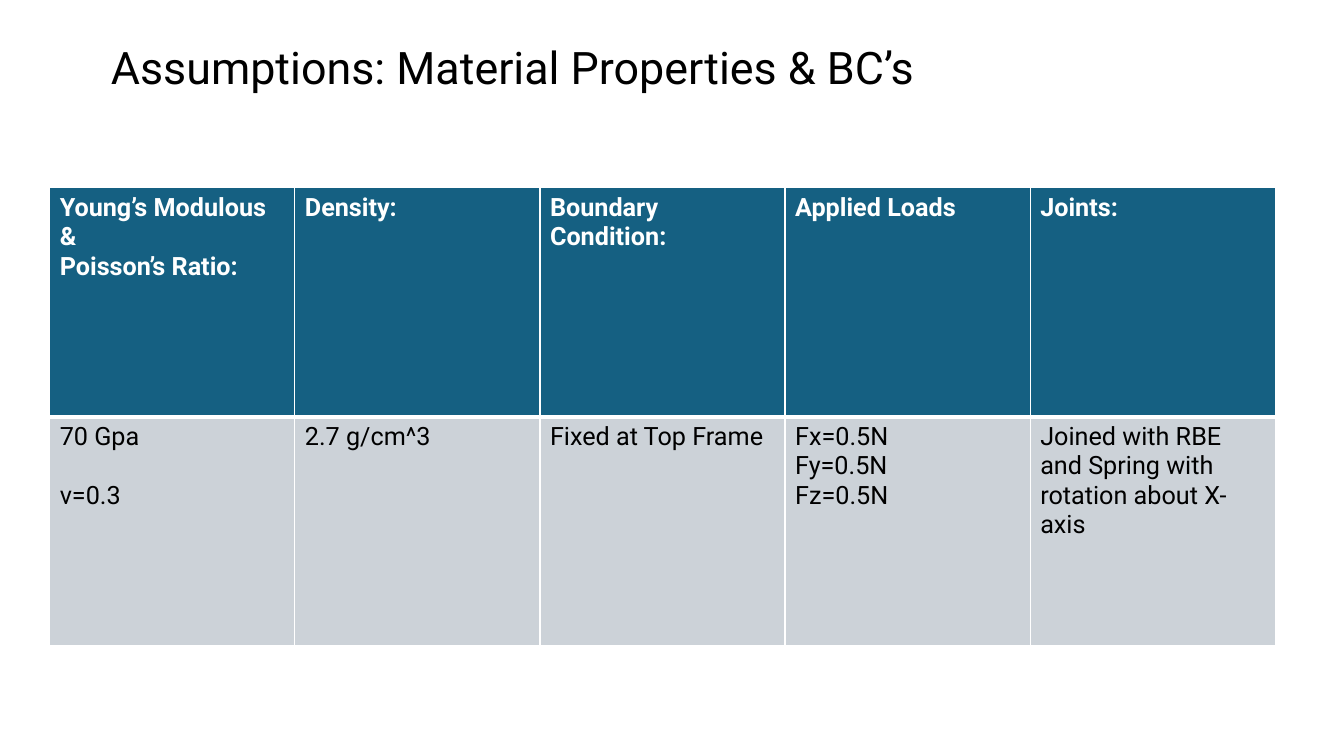
from lxml.etree import SubElement
from pptx import Presentation
from pptx.dml.color import RGBColor
from pptx.enum.text import MSO_ANCHOR as Anchor, MSO_AUTO_SIZE as AutoSize, PP_ALIGN as Align
from pptx.oxml.ns import qn
from pptx.util import Pt

COLORS = {"black": "000000", "white": "FFFFFF", "header": "156082", "body": "CCD2D8"}

# Each column: header lines, body lines
COLUMNS = [
    (["Young’s Modulous", "&", "Poisson’s Ratio:"], ["70 Gpa", "v=0.3"]),
    (["Density:"], ["2.7 g/cm^3"]),
    (["Boundary Condition:"], ["Fixed at Top Frame"]),
    (["Applied Loads"], ["Fx=0.5N", "Fy=0.5N", "Fz=0.5N"]),
    (["Joints:"], ["Joined with RBE and Spring with rotation about X-axis"]),
]


class SlideBuilder:
    font_name = "Roboto"
    title_size = 32
    table_size = 18

    def __init__(self, presentation):
        self.slide = presentation.slides.add_slide(presentation.slide_layouts[5])

    def add_run(self, paragraph, text, size, color, bold=False):
        run = paragraph.add_run()
        run.text = text
        run.font.name = self.font_name
        run.font.size = Pt(size)
        run.font.bold = bold
        run.font.color.rgb = RGBColor.from_string(COLORS[color])

    def add_title(self, text, left, top, width, height):
        title = self.slide.shapes.title
        title.left, title.top, title.width, title.height = map(Pt, (left, top, width, height))
        frame = title.text_frame
        frame.word_wrap = True
        frame.auto_size = AutoSize.NONE
        frame.vertical_anchor = Anchor.TOP
        paragraph = frame.paragraphs[0]
        paragraph.alignment = Align.LEFT
        paragraph.line_spacing = 0.9
        self.add_run(paragraph, text, self.title_size, "black")

    def add_borders(self, cell, widths):
        properties = cell._tc.get_or_add_tcPr()
        for position, (side, width) in enumerate(widths.items()):
            line = properties.makeelement(qn(f"a:ln{side}"), {"w": str(Pt(width))})
            fill = SubElement(line, qn("a:solidFill"))
            SubElement(fill, qn("a:srgbClr"), val=COLORS["white"])
            properties.insert(position, line)

    def fill_cell(self, cell, lines, is_header):
        cell.fill.solid()
        cell.fill.fore_color.rgb = RGBColor.from_string(COLORS["header" if is_header else "body"])
        cell.vertical_anchor = Anchor.TOP
        frame = cell.text_frame
        for index, text in enumerate(lines):
            paragraph = frame.add_paragraph() if index else frame.paragraphs[0]
            self.add_run(paragraph, text, self.table_size,
                         "white" if is_header else "black", is_header)
        # The thick line separates the header from the body
        self.add_borders(cell, {"L": 1, "R": 1, "T": 1 if is_header else 3,
                                "B": 3 if is_header else 1})

    def add_table(self, columns, left, top, column_width, row_height):
        count = len(columns)
        frame = self.slide.shapes.add_table(2, count, Pt(left), Pt(top),
                                            Pt(column_width * count), Pt(row_height * 2))
        table = frame.table
        for row in table.rows:
            row.height = Pt(row_height)
        for column_index, cells in enumerate(columns):
            table.columns[column_index].width = Pt(column_width)
            for row_index, lines in enumerate(cells):
                self.fill_cell(table.cell(row_index, column_index), lines, row_index == 0)
        return table


def main():
    presentation = Presentation()
    presentation.slide_width, presentation.slide_height = Pt(960), Pt(540)
    builder = SlideBuilder(presentation)

    # Title
    builder.add_title("Assumptions: Material Properties & BC’s", 72, 28.8, 816, 126)

    # Properties table, with a line's gap above Poisson's ratio
    table = builder.add_table(COLUMNS, 35.5, 134.2, 175.1, 163.6)
    table.cell(1, 0).text_frame.paragraphs[1].space_before = Pt(21.2)

    presentation.save("out.pptx")


if __name__ == "__main__":
    main()
